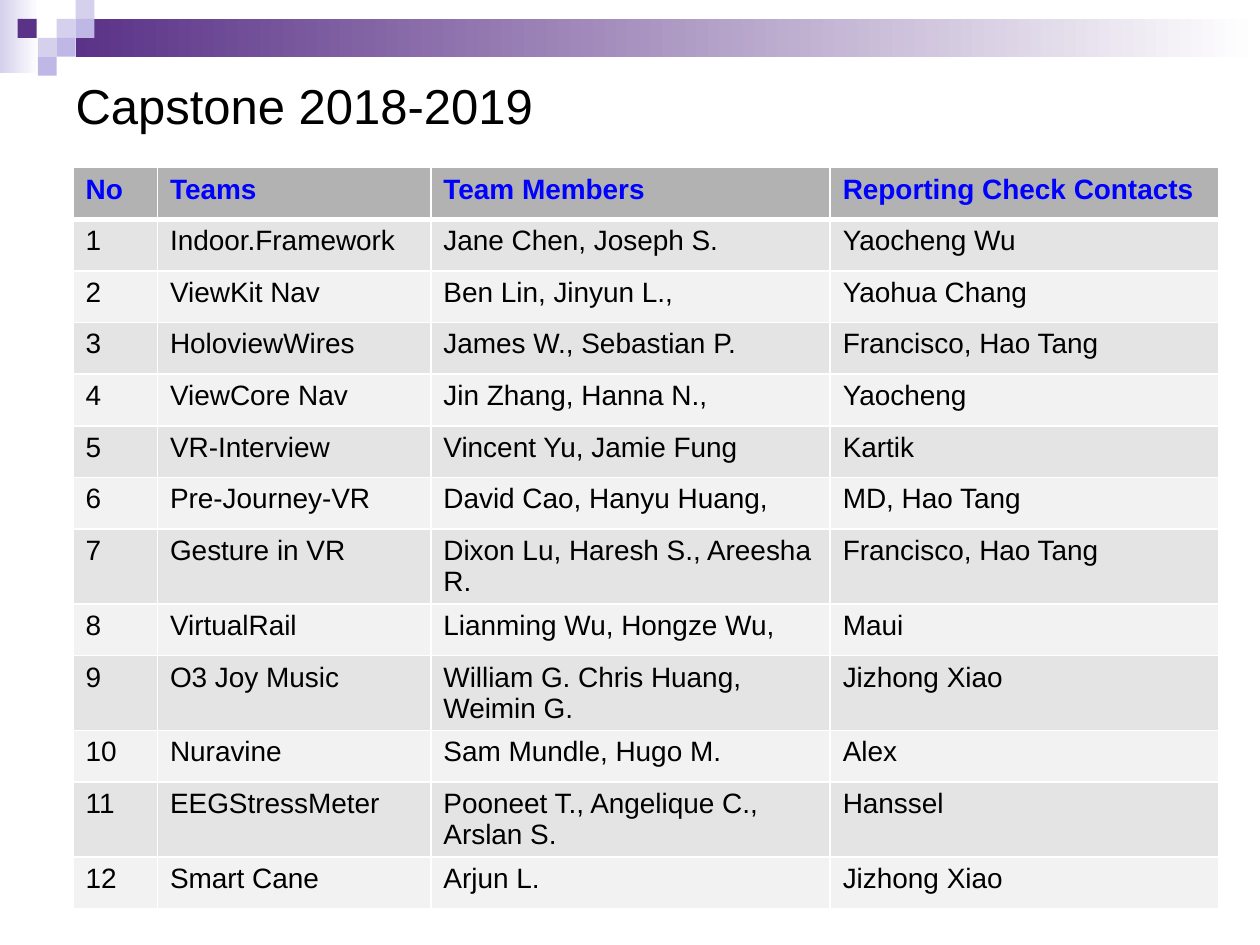
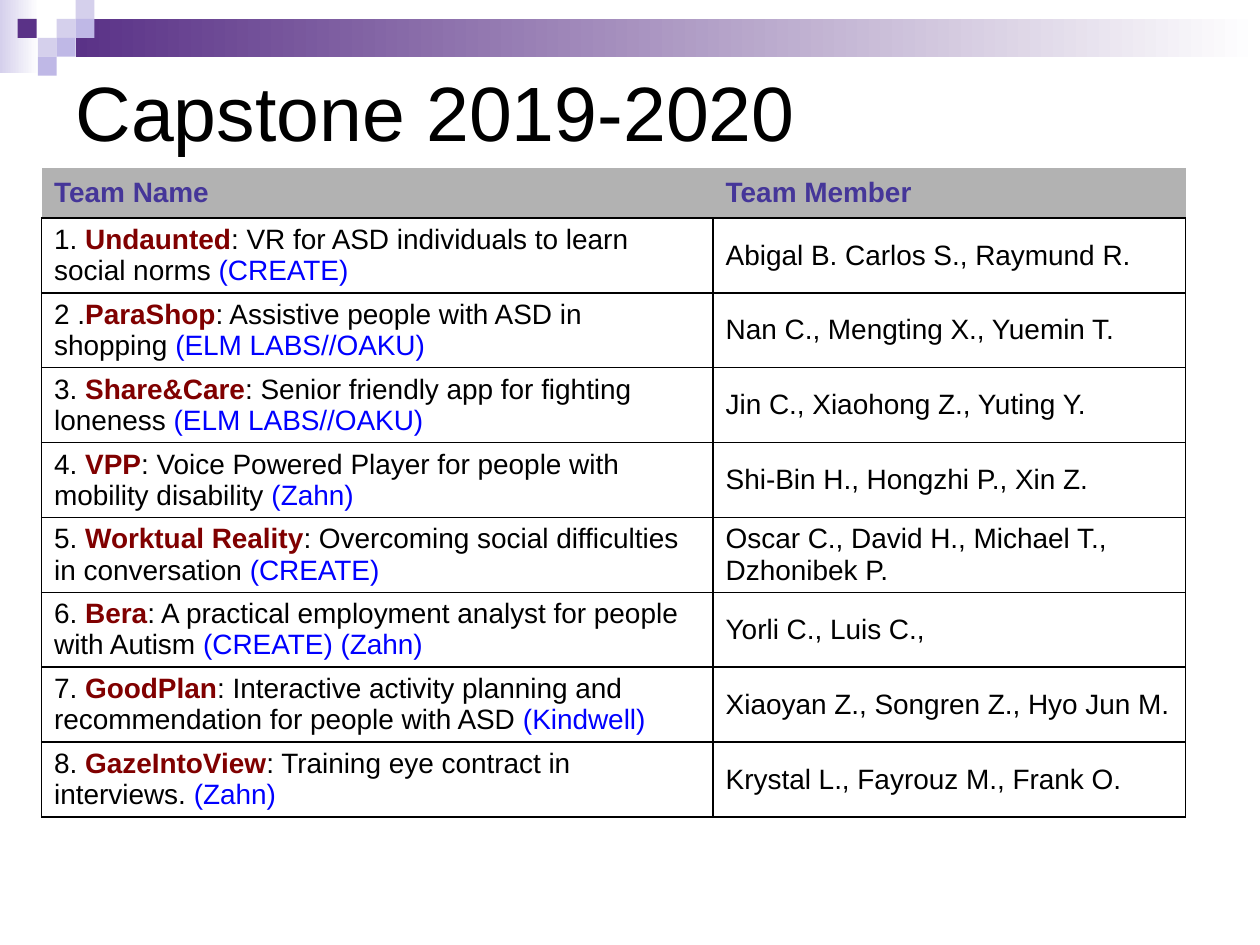
from dataclasses import dataclass

from lxml.etree import SubElement
from pptx import Presentation
from pptx.dml.color import RGBColor as RGB
from pptx.enum.shapes import MSO_SHAPE as SHAPE
from pptx.enum.text import MSO_ANCHOR as ANCHOR, MSO_AUTO_SIZE as AUTO_SIZE, PP_ALIGN as ALIGN
from pptx.oxml.ns import qn
from pptx.util import Inches, Pt


@dataclass(frozen=True)
class Theme:
    """Colours, font and type sizes."""
    font: str = "Arial"
    black: str = "000000"
    white: str = "FFFFFF"
    purple: str = "5A3287"
    lilac: str = "BFB8E6"
    pale: str = "D5D0EC"
    violet: str = "453699"
    blue: str = "0000FF"
    maroon: str = "800000"
    header: str = "B2B2B2"
    bands: tuple = ("E4E4E4", "F2F2F2")
    small_title: int = 28
    large_title: int = 44
    cell_size: int = 16


class Deck:
    """Holds the style and the current slide."""

    def __init__(self, theme):
        self.theme = theme
        self.prs = Presentation()
        self.prs.slide_width, self.prs.slide_height = Inches(10), Inches(7.5)
        self.slide = None

    def add_slide(self):
        self.slide = self.prs.slides.add_slide(self.prs.slide_layouts[5])

    def run(self, p, text, size, color, bold=False):
        r = p.add_run()
        r.text = text
        r.font.name, r.font.size, r.font.bold = self.theme.font, Pt(size), bold
        r.font.color.rgb = RGB.from_string(color)

    def rect(self, left, top, width, height, color, fade_to=None):
        sp = self.slide.shapes.add_shape(
            SHAPE.RECTANGLE, Inches(left), Inches(top), Inches(width), Inches(height))
        sp.shadow.inherit = False
        sp.line.fill.background()
        if fade_to:
            sp.fill.gradient()
            sp.fill.gradient_angle = 0
            for stop, end in zip(sp.fill.gradient_stops, (color, fade_to)):
                stop.color.rgb = RGB.from_string(end)
        else:
            sp.fill.solid()
            sp.fill.fore_color.rgb = RGB.from_string(color)
        return sp

    def master_band(self):
        """Draw the top band and its squares, then hand them to the master."""
        t = self.theme
        side = 0.15
        squares = [(0.45, 0.15, t.pale), (0.6, 0, t.pale), (0.6, 0.15, t.lilac),
                   (0.3, 0.3, t.pale), (0.14, 0.15, t.purple),
                   (0.45, 0.3, t.lilac), (0.3, 0.45, t.lilac)]
        parts = [self.rect(0, 0, 0.31, 0.58, t.pale, t.white),
                 self.rect(0.6, 0.15, 9.4, 0.3, t.purple, t.white)]
        parts += [self.rect(x, y, side, side, color) for x, y, color in squares]
        tree = self.prs.slide_master.shapes.element
        for i, sp in enumerate(parts):
            tree.insert(2 + i, sp.element)

    def title(self, text, size, height):
        sp = self.slide.shapes.title
        sp.left, sp.top, sp.width, sp.height = (
            Inches(0.5), Inches(0.5), Inches(9), Inches(height))
        tf = sp.text_frame
        tf.word_wrap, tf.auto_size = True, AUTO_SIZE.NONE
        tf.vertical_anchor = ANCHOR.MIDDLE
        p = tf.paragraphs[0]
        p.alignment = ALIGN.LEFT
        self.run(p, text, size, self.theme.black)

    def table(self, left, widths, row_height, n_rows):
        gf = self.slide.shapes.add_table(
            n_rows, len(widths), Inches(left), Inches(1.33),
            Inches(sum(widths)), Inches(row_height * n_rows))
        tbl = gf.table
        tbl.first_row = tbl.horz_banding = False
        for col, width in zip(tbl.columns, widths):
            col.width = Inches(width)
        for row in tbl.rows:
            row.height = Inches(row_height)
        return tbl

    def cell(self, cell, runs, fill, borders, anchor=ANCHOR.TOP):
        """runs: (text, colour, bold); borders: side -> (colour, points)."""
        cell.vertical_anchor = anchor
        for text, color, bold in runs:
            self.run(cell.text_frame.paragraphs[0], text, self.theme.cell_size, color, bold)
        tc_pr = cell._tc.get_or_add_tcPr()
        for side in "LRTB":
            ln = SubElement(tc_pr, qn(f"a:ln{side}"))
            if side in borders:
                color, points = borders[side]
                ln.set("w", str(Pt(points)))
                SubElement(SubElement(ln, qn("a:solidFill")), qn("a:srgbClr"), val=color)
            else:
                SubElement(ln, qn("a:noFill"))
        if fill:
            cell.fill.solid()
            cell.fill.fore_color.rgb = RGB.from_string(fill)
        else:
            cell.fill.background()


TEAMS_2018 = [
    ("Indoor.Framework", "Jane Chen, Joseph S.", "Yaocheng Wu"),
    ("ViewKit Nav", "Ben Lin, Jinyun L.,", "Yaohua Chang"),
    ("HoloviewWires", "James W., Sebastian P.", "Francisco, Hao Tang"),
    ("ViewCore Nav", "Jin Zhang, Hanna N.,", "Yaocheng"),
    ("VR-Interview", "Vincent Yu, Jamie Fung", "Kartik"),
    ("Pre-Journey-VR", "David Cao, Hanyu Huang,", "MD, Hao Tang"),
    ("Gesture in VR", "Dixon Lu, Haresh S., Areesha R.", "Francisco, Hao Tang"),
    ("VirtualRail", "Lianming Wu, Hongze Wu,", "Maui"),
    ("O3 Joy Music", "William G. Chris Huang, Weimin G.", "Jizhong Xiao"),
    ("Nuravine", "Sam Mundle, Hugo M.", "Alex"),
    ("EEGStressMeter", "Pooneet T., Angelique C., Arslan S.", "Hanssel"),
    ("Smart Cane", "Arjun L.", "Jizhong Xiao"),
]

# Number, team, project, sponsor, members
TEAMS_2019 = [
    ("1. ", "Undaunted", ": VR for ASD individuals to learn social norms ",
     "(CREATE)", "Abigal B. Carlos S., Raymund R."),
    ("2 .", "ParaShop", ": Assistive people with ASD in shopping ",
     "(ELM LABS//OAKU)", "Nan C., Mengting X., Yuemin T."),
    ("3. ", "Share&Care", ": Senior friendly app for fighting loneness ",
     "(ELM LABS//OAKU)", "Jin C., Xiaohong Z., Yuting Y."),
    ("4. ", "VPP", ": Voice Powered Player for people with mobility disability ",
     "(Zahn)", "Shi-Bin H., Hongzhi P., Xin Z."),
    ("5. ", "Worktual Reality", ": Overcoming social difficulties in conversation ",
     "(CREATE)", "Oscar C., David H., Michael T., Dzhonibek P."),
    ("6. ", "Bera", ": A practical employment analyst for people with Autism ",
     "(CREATE) (Zahn)", "Yorli C., Luis C.,"),
    ("7. ", "GoodPlan",
     ": Interactive activity planning and recommendation for people with ASD ",
     "(Kindwell)", "Xiaoyan Z., Songren Z., Hyo Jun M."),
    ("8. ", "GazeIntoView", ": Training eye contract in interviews. ",
     "(Zahn)", "Krystal L., Fayrouz M., Frank O."),
]


def capstone_2018(deck):
    t = deck.theme
    deck.title("Capstone 2018-2019", t.small_title, 0.67)
    heads = ("No", "Teams", "Team Members", "Reporting Check Contacts")
    rows = [heads] + [(str(n), *team) for n, team in enumerate(TEAMS_2018, 1)]
    tbl = deck.table(0.58, (0.67, 2.17, 3.17, 3.08), 0.41, len(rows))
    thin, thick = (t.white, 1), (t.white, 3)
    for i, row in enumerate(rows):
        fill = t.bands[(i - 1) % 2] if i else t.header
        color = t.black if i else t.blue
        borders = {"L": thin, "R": thin, "T": thick if i == 1 else thin,
                   "B": thin if i else thick}
        for j, text in enumerate(row):
            deck.cell(tbl.cell(i, j), [(text, color, i == 0)], fill, borders)


def capstone_2019(deck):
    t = deck.theme
    deck.title("Capstone 2019-2020", t.large_title, 0.75)
    tbl = deck.table(0.33, (5.33, 3.75), 0.4, len(TEAMS_2019) + 1)
    line = (t.black, 1)
    # Header row
    for j, text in enumerate(("Team Name", "Team Member")):
        deck.cell(tbl.cell(0, j), [(text, t.violet, True)], t.header,
                  {"B": line}, ANCHOR.MIDDLE)
    # Team rows
    grid = dict.fromkeys("LRTB", line)
    for i, (number, team, project, sponsor, members) in enumerate(TEAMS_2019, 1):
        name = [(number, t.black, False), (team, t.maroon, True),
                (project, t.black, False), (sponsor, t.blue, False)]
        for j, runs in enumerate((name, [(members, t.black, False)])):
            deck.cell(tbl.cell(i, j), runs, None, grid, ANCHOR.MIDDLE)


def main():
    deck = Deck(Theme())
    deck.add_slide()
    deck.master_band()
    capstone_2018(deck)
    deck.add_slide()
    capstone_2019(deck)
    deck.prs.save("out.pptx")


if __name__ == "__main__":
    main()
